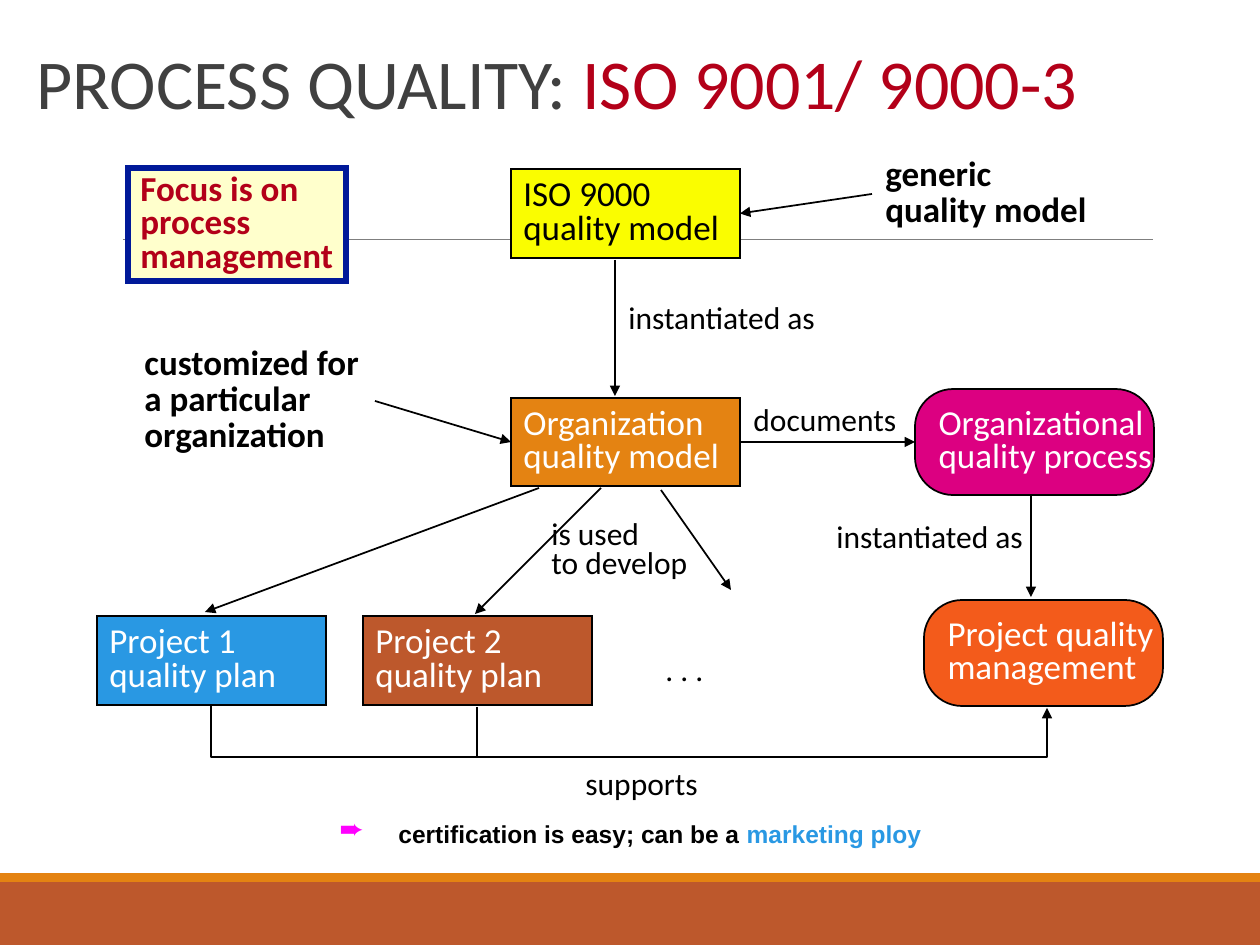
"""Build the ISO 9001 process quality slide."""
from dataclasses import dataclass

from lxml.etree import SubElement
from pptx import Presentation
from pptx.dml.color import RGBColor
from pptx.enum.shapes import MSO_CONNECTOR, MSO_SHAPE as SHAPE
from pptx.enum.text import MSO_ANCHOR as ANCHOR, MSO_AUTO_SIZE as FIT, PP_ALIGN as ALIGN
from pptx.oxml.ns import qn
from pptx.util import Pt

SCALE = 914400 / 126
BLACK = RGBColor(0x00, 0x00, 0x00)
WHITE = RGBColor(0xFF, 0xFF, 0xFF)
GRAY = RGBColor(0x7F, 0x7F, 0x7F)
DARK = RGBColor(0x40, 0x40, 0x40)
RED = RGBColor(0xB3, 0x00, 0x19)
RUST = RGBColor(0xBD, 0x58, 0x2C)
AMBER = RGBColor(0xE4, 0x83, 0x12)
YELLOW = RGBColor(0xFA, 0xFD, 0x00)
CREAM = RGBColor(0xFF, 0xFF, 0xCC)
BLUE = RGBColor(0x29, 0x98, 0xE3)
NAVY = RGBColor(0x00, 0x19, 0x99)
PINK = RGBColor(0xDC, 0x00, 0x81)
ORANGE = RGBColor(0xF3, 0x5B, 0x1B)
RECT, ROUND = SHAPE.RECTANGLE, SHAPE.ROUNDED_RECTANGLE


@dataclass
class Box:
    """A filled shape with optional lines of text."""
    x: int
    y: int
    w: int
    h: int
    fill: RGBColor
    text: str = ""
    kind: SHAPE = RECT
    ink: RGBColor = WHITE
    edge: RGBColor | None = BLACK
    width: int = 1
    bold: bool = False
    wrap: bool = False
    anchor: ANCHOR = ANCHOR.MIDDLE


@dataclass
class Label:
    """A free piece of text."""
    x: int
    y: int
    w: int
    h: int
    text: str
    size: int = 18
    space: float = 1.0
    bold: bool = False


@dataclass
class Line:
    """A straight line, joined to (shape, side) where given."""
    x1: int
    y1: int
    x2: int
    y2: int
    start: tuple | None = None
    end: tuple | None = None
    arrow: bool = True
    ink: RGBColor = BLACK
    width: float = 1


def px(*vals: int) -> list[int]:
    """Turn px into EMU."""
    return [round(v * SCALE) for v in vals]


def write(shape, text: str, size: int, ink: RGBColor, space: float, bold: bool) -> None:
    """Put each line of text in its own paragraph."""
    frame = shape.text_frame
    frame.text = text
    for para in frame.paragraphs:
        para.alignment = ALIGN.LEFT
        para.line_spacing = space
        font = para.font
        font.name, font.size, font.bold = "Calibri", Pt(size), bold
        font.color.rgb = ink


def add_box(slide, box: Box):
    """Draw a filled shape."""
    shape = slide.shapes.add_shape(box.kind, *px(box.x, box.y, box.w, box.h))
    shape.shadow.inherit = False
    shape.fill.solid()
    shape.fill.fore_color.rgb = box.fill
    if box.edge is None:
        shape.line.fill.background()
    else:
        shape.line.color.rgb = box.edge
        shape.line.width = Pt(box.width)
        SubElement(shape.line._get_or_add_ln(), qn("a:miter"), lim="800000")
    if box.kind == ROUND:
        shape.adjustments[0] = 0.36
    if box.text:
        shape.text_frame.word_wrap = box.wrap
        shape.text_frame.vertical_anchor = box.anchor
        write(shape, box.text, 20, box.ink, 0.8, box.bold)
    return shape


def add_label(slide, label: Label) -> None:
    """Draw a text box that fits its text."""
    shape = slide.shapes.add_textbox(*px(label.x, label.y, label.w, label.h))
    shape.text_frame.word_wrap = False
    shape.text_frame.auto_size = FIT.SHAPE_TO_FIT_TEXT
    write(shape, label.text, label.size, BLACK, label.space, label.bold)


def add_head(shape) -> None:
    """Put an arrowhead at the end of a line."""
    SubElement(shape.line._get_or_add_ln(), qn("a:tailEnd"), type="triangle")


def add_line(slide, line: Line) -> None:
    """Draw a straight connector."""
    ends = px(line.x1, line.y1, line.x2, line.y2)
    shape = slide.shapes.add_connector(MSO_CONNECTOR.STRAIGHT, *ends)
    if line.start:
        shape.begin_connect(*line.start)
    if line.end:
        shape.end_connect(*line.end)
    shape.line.color.rgb = line.ink
    shape.line.width = Pt(line.width)
    if line.arrow:
        add_head(shape)
    SubElement(shape._element.spPr, qn("a:effectLst"))


def add_path(slide, first: tuple, *rest: tuple) -> None:
    """Draw an open bent arrow."""
    form = slide.shapes.build_freeform(*first, scale=SCALE)
    form.add_line_segments(rest, close=False)
    shape = form.convert_to_shape()
    shape.shadow.inherit = False
    shape.fill.background()
    shape.line.color.rgb = BLACK
    shape.line.width = Pt(1)
    add_head(shape)


def add_runs(para, *parts: tuple) -> None:
    """Add runs of text, each in its colour."""
    for text, ink in parts:
        run = para.add_run()
        run.text = text
        run.font.color.rgb = ink


def add_title(slide) -> None:
    """Fill the title placeholder."""
    title = slide.shapes.title
    title.left, title.top, title.width, title.height = px(24, 13, 1201, 117)
    frame = title.text_frame
    frame.auto_size = FIT.NONE
    frame.vertical_anchor = ANCHOR.BOTTOM
    para = frame.paragraphs[0]
    para.alignment, para.line_spacing = ALIGN.LEFT, 0.85
    para.font.name, para.font.size = "Calibri", Pt(40)
    add_runs(para, ("PROCESS QUALITY: ", DARK), ("ISO 9001/ 9000-3", RED))


def add_note(slide) -> None:
    """Draw the bulleted remark at the foot."""
    frame = slide.shapes.add_textbox(*px(95, 818, 1071, 42)).text_frame
    frame.word_wrap = True
    para = frame.paragraphs[0]
    para.alignment, para.line_spacing = ALIGN.CENTER, 0.8
    props = para._p.get_or_add_pPr()
    hang = px(59)[0]
    props.set("marL", str(hang))
    props.set("indent", str(-hang))
    SubElement(SubElement(props, qn("a:buClr")), qn("a:srgbClr"), val="FF00FF")
    SubElement(props, qn("a:buSzPct"), val="120000")
    SubElement(props, qn("a:buChar"), char="➨")
    para.font.name, para.font.size, para.font.bold = "Arial", Pt(14), True
    add_runs(para, ("certification is easy; can be a ", BLACK), ("marketing ploy", BLUE))


def main() -> None:
    """Build and save the deck."""
    deck = Presentation()
    deck.slide_width, deck.slide_height = px(1260, 945)
    slide = deck.slides.add_slide(deck.slide_layouts[5])
    add_box(slide, Box(0, 882, 1260, 63, RUST, edge=None))
    add_box(slide, Box(0, 873, 1260, 9, AMBER, edge=None))
    add_line(slide, Line(123, 239, 1153, 239, arrow=False, ink=GRAY, width=0.5))
    add_title(slide)
    iso, org, flow, *_ = [add_box(slide, box) for box in (
        Box(511, 169, 229, 89, YELLOW, "ISO 9000\nquality model", ink=BLACK),
        Box(511, 398, 229, 88, AMBER, "Organization\nquality model"),
        Box(915, 389, 239, 106, PINK, "Organizational\nquality process", ROUND),
        Box(924, 600, 239, 106, ORANGE, "Project quality\nmanagement", ROUND),
        Box(97, 616, 229, 89, BLUE, "Project 1\nquality plan"),
        Box(363, 616, 229, 89, RUST, "Project 2\nquality plan"),
        Box(128, 168, 218, 113, CREAM, "Focus is on\nprocess\nmanagement", ink=RED,
            edge=NAVY, width=3, bold=True, wrap=True, anchor=ANCHOR.TOP))]
    for line in (
            Line(615, 260, 615, 396),
            Line(539, 488, 205, 612),
            Line(601, 488, 475, 614),
            Line(661, 490, 731, 590),
            Line(741, 442, 912, 442, start=(org, 3), end=(flow, 1)),
            Line(1031, 496, 1031, 597),
            Line(477, 707, 477, 757, arrow=False),
            Line(872, 194, 740, 214, end=(iso, 3)),
            Line(375, 401, 511, 442, end=(org, 1))):
        add_line(slide, line)
    add_path(slide, (211, 706), (211, 757), (1047, 757), (1047, 708))
    for label in (
            Label(653, 644, 63, 50, ". . ."),
            Label(616, 292, 215, 50, "instantiated as"),
            Label(824, 511, 215, 50, "instantiated as"),
            Label(741, 394, 171, 50, "documents"),
            Label(573, 758, 142, 50, "supports"),
            Label(539, 517, 163, 69, "is used\nto develop", space=0.75),
            Label(873, 152, 229, 84, "generic\nquality model", 20, 0.85, True),
            Label(132, 341, 243, 120, "customized for\na particular\norganization",
                  20, 0.85, True)):
        add_label(slide, label)
    add_note(slide)
    deck.save("out.pptx")


if __name__ == "__main__":
    main()
